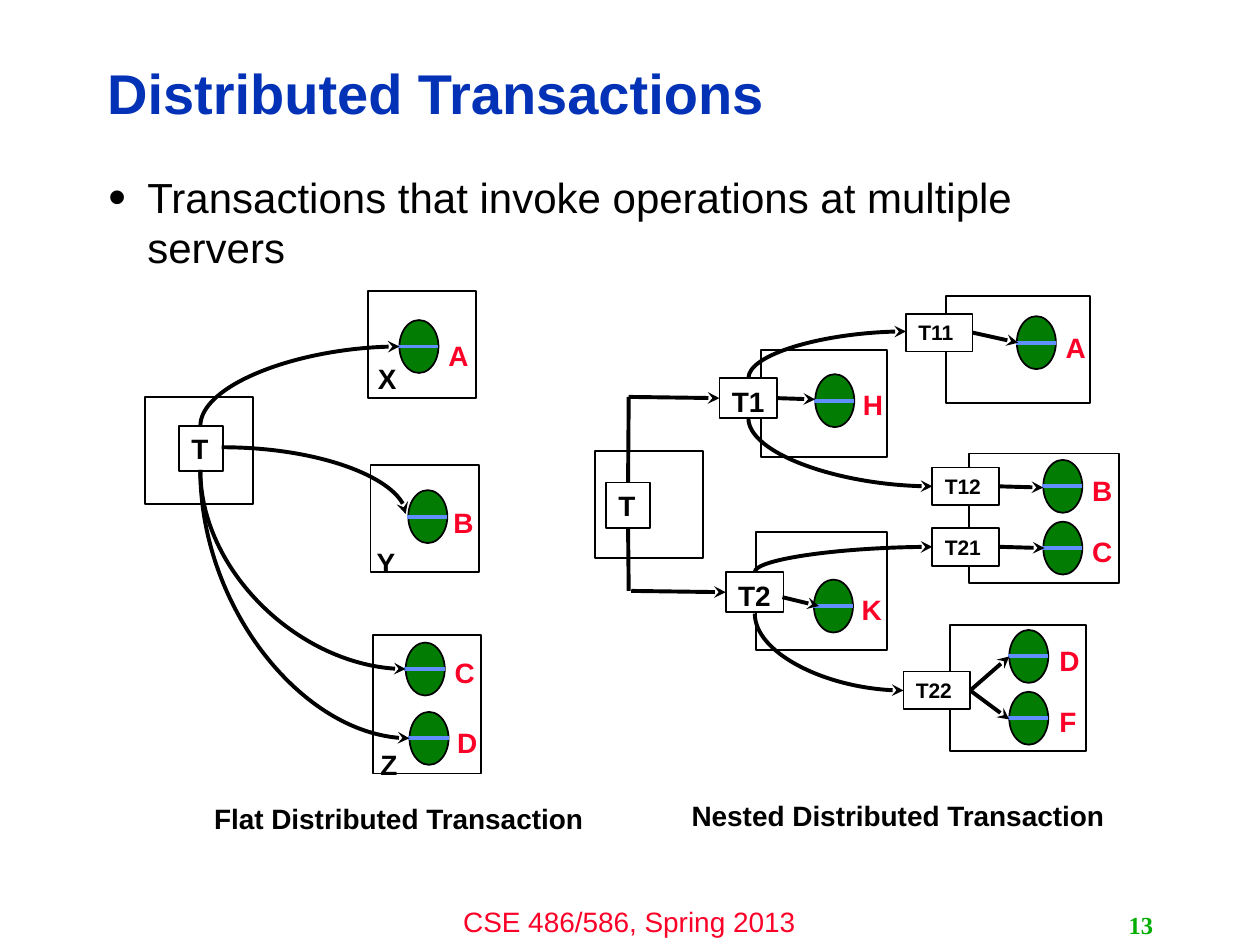
from lxml.etree import SubElement
from pptx import Presentation
from pptx.dml.color import RGBColor
from pptx.enum.shapes import MSO_CONNECTOR as Link, MSO_SHAPE as Preset
from pptx.enum.text import MSO_ANCHOR as Anchor, MSO_AUTO_SIZE as AutoSize, PP_ALIGN as Align
from pptx.oxml.ns import qn
from pptx.util import Inches, Pt

BLACK = RGBColor(0x00, 0x00, 0x00)
WHITE = RGBColor(0xFF, 0xFF, 0xFF)
BLUE = RGBColor(0x03, 0x32, 0xB7)
RED = RGBColor(0xFC, 0x01, 0x28)
DARK_GREEN = RGBColor(0x03, 0x7C, 0x03)
PAGE_GREEN = RGBColor(0x00, 0xAE, 0x00)
SKY = RGBColor(0x61, 0x8F, 0xFD)

COLUMNS, ROWS = 100, 75

FLAT_SERVERS = [(11.5, 31.5, 8.6, 8.5), (29.2, 23.1, 8.6, 8.5),
                (29.4, 36.9, 8.6, 8.5), (29.6, 50.4, 8.6, 11)]
NESTED_SERVERS = [(47.2, 35.8, 8.6, 8.5), (60.4, 27.8, 10, 8.5), (60, 42.2, 10.4, 9.4),
                  (75.1, 23.5, 11.4, 8.5), (76.9, 36, 11.9, 10.3), (75.4, 49.6, 10.8, 10)]

SERVER_NAMES = [("X", 29, 28.2), ("Y", 28.9, 42.8), ("Z", 29.2, 58.8)]

OBJECTS = [("A", 31.7, 25.4, 34.6, 26.4), ("B", 32.4, 38.9, 35, 39.6),
           ("C", 32.2, 51, 35.1, 51.5), ("D", 32.5, 56.5, 35.3, 57.1),
           ("A", 80.7, 25.1, 83.6, 25.7), ("B", 82.8, 36.5, 85.7, 37.1),
           ("C", 82.8, 41.4, 85.7, 41.9), ("D", 80.1, 50, 83.1, 50.6),
           ("F", 80.1, 54.9, 83.1, 55.4), ("H", 64.7, 29.7, 67.5, 30.3),
           ("K", 64.6, 46, 67.4, 46.5)]

FLAT_ROOT = ("T", 14.2, 33.8, 3.5, 3.6)
NESTED_NODES = [("T", 48.1, 38.3, 3.5, 3.6), ("T1", 57.1, 30, 4.6, 3.2),
                ("T2", 57.6, 45.4, 4.6, 3.2), ("T11", 71.9, 24.9, 5.3, 3),
                ("T12", 74, 37.1, 5.3, 3), ("T21", 74, 41.9, 5.3, 3),
                ("T22", 71.7, 53.3, 5.3, 3)]

RISING_OR_FALLING = [((15.9, 33.8), (31.7, 27.5)), ((15.9, 37.3), (32.2, 53.1)),
                     ((15.9, 37.3), (32.5, 58.6)), ((59.9, 48.7), (71.7, 54.8)),
                     ((59.4, 30), (71.9, 26.3)), ((59.4, 33.2), (74, 38.6)),
                     ((59.9, 45.4), (74, 43.4))]

TOP, LEFT, BOTTOM, RIGHT = range(4)


def write(frame, text, size=16, color=BLACK, font="Arial", bold=False, align=Align.LEFT,
          anchor=Anchor.TOP, wrap=True, line_spacing=None, bullet=None, right_inset=0.1):
    frame.auto_size = AutoSize.NONE
    frame.word_wrap = wrap
    frame.vertical_anchor = anchor
    frame.margin_left, frame.margin_right = Inches(0.1), Inches(right_inset)
    frame.margin_top = frame.margin_bottom = Inches(0.05)
    paragraph = frame.paragraphs[0]
    paragraph.alignment = align
    paragraph.space_before = Pt(0)
    if line_spacing:
        paragraph.line_spacing = line_spacing
    if bullet:
        properties = paragraph._p.get_or_add_pPr()
        properties.set("marL", str(Inches(0.31)))
        properties.set("indent", str(-Inches(0.31)))
        bullet_color = SubElement(properties, qn("a:buClr"))
        SubElement(bullet_color, qn("a:srgbClr"), val=str(BLACK))
        SubElement(properties, qn("a:buSzPct"), val="120000")
        SubElement(properties, qn("a:buFont"), typeface="Arial")
        SubElement(properties, qn("a:buChar"), char=bullet)
    run = paragraph.add_run()
    run.text = text
    run.font.name, run.font.size, run.font.bold = font, Pt(size), bold
    run.font.color.rgb = color


class Diagram:
    def __init__(self, deck):
        self.slide = deck.slides.add_slide(deck.slide_layouts[1])
        self.shapes = self.slide.shapes
        self.column = deck.slide_width / COLUMNS
        self.row = deck.slide_height / ROWS

    def grid(self, *lengths):
        return [round(length * (self.row if i % 2 else self.column))
                for i, length in enumerate(lengths)]

    def placeholder(self, index, area, text, **style):
        holder = self.slide.placeholders[index]
        holder.left, holder.top, holder.width, holder.height = self.grid(*area)
        write(holder.text_frame, text, **style)

    def label(self, text, *area, **style):
        write(self.shapes.add_textbox(*self.grid(*area)).text_frame, text, **style)

    def outline(self, preset, *area, fill=None):
        shape = self.shapes.add_shape(preset, *self.grid(*area))
        shape.shadow.inherit = False
        if fill is None:
            shape.fill.background()
        else:
            shape.fill.solid()
            shape.fill.fore_color.rgb = fill
        shape.line.color.rgb = BLACK
        shape.line.width = Pt(1)
        return shape

    def node(self, name, *area):
        box = self.outline(Preset.RECTANGLE, *area, fill=WHITE)
        write(box.text_frame, name, size=12 if len(name) > 2 else 16, bold=True, right_inset=0)
        return box

    def line(self, start, end, color=BLACK, arrow=False, kind=Link.STRAIGHT,
             begin=None, finish=None):
        link = self.shapes.add_connector(kind, *self.grid(*start, *end))
        link.line.color.rgb = color
        link.line.width = Pt(2.25)
        if arrow:
            SubElement(link.line._get_or_add_ln(), qn("a:tailEnd"), type="stealth")
        SubElement(link._element.spPr, qn("a:effectLst"))
        if begin:
            link.begin_connect(*begin)
        if finish:
            link.end_connect(*finish)
        return link

    def arc(self, start, end, upright=True):
        (x1, y1), (x2, y2) = start, end
        if upright:
            middle_x, middle_y = (x1 + x2) / 2, (y1 + y2) / 2
            half_width, half_height = (y1 - y2) / 2, (x2 - x1) / 2
            start = middle_x - half_width, middle_y - half_height
            end = middle_x + half_width, middle_y + half_height
        link = self.line(start, end, arrow=True, kind=Link.CURVE)
        properties = link._element.spPr
        properties.find(qn("a:prstGeom")).set("prst", "curvedConnector2")
        if upright:
            properties.find(qn("a:xfrm")).set("rot", str(270 * 60000))

    def stored_object(self, name, x, y, label_x, label_y):
        self.outline(Preset.OVAL, x, y, 3.1, 4.2, fill=DARK_GREEN)
        self.line((x - 0.1, y + 2.1), (x + 3.1, y + 2.1), color=SKY)
        self.label(name, label_x, label_y, 3.2, 3.1, color=RED, bold=True, right_inset=0)


def main():
    deck = Presentation()
    deck.slide_width, deck.slide_height = Inches(10), Inches(7.5)
    diagram = Diagram(deck)

    diagram.placeholder(0, (7.5, 3.6, 79.8, 8.1), "Distributed Transactions", size=32,
                        color=BLUE, bold=True, anchor=Anchor.MIDDLE, line_spacing=0.9)
    diagram.placeholder(1, (7.6, 13.1, 84, 53.9),
                        "Transactions that invoke operations at multiple servers",
                        size=24, bullet="•")
    diagram.label("CSE 486/586, Spring 2013", 33.3, 71.3, 33.3, 3.7, color=RED,
                  align=Align.CENTER)
    diagram.label("13", 71.7, 71.8, 20.8, 3.2, size=14, color=PAGE_GREEN, bold=True,
                  font="Times New Roman", align=Align.RIGHT, anchor=Anchor.MIDDLE)

    for server in FLAT_SERVERS + NESTED_SERVERS:
        diagram.outline(Preset.RECTANGLE, *server)
    diagram.node(*FLAT_ROOT)
    root, t1, t2, t11, t12, t21, t22 = [diagram.node(*node) for node in NESTED_NODES]
    for stored in OBJECTS:
        diagram.stored_object(*stored)
    for name, x, y in SERVER_NAMES:
        diagram.label(name, x, y, 3.1, 3.1, bold=True, right_inset=0)

    for start, end in RISING_OR_FALLING:
        diagram.arc(start, end)
    diagram.arc((17.6, 35.5), (32.2, 40.8), upright=False)

    diagram.line((49.9, 38.3), (49.9, 31.5), begin=(root, TOP))
    diagram.line((49.9, 46.9), (49.9, 41.9), finish=(root, BOTTOM))
    diagram.line((49.9, 31.5), (57.1, 31.5), arrow=True, finish=(t1, LEFT))
    diagram.line((50.1, 46.9), (57.6, 46.9), arrow=True, finish=(t2, LEFT))
    diagram.line((62.1, 47.4), (65, 48.1), arrow=True)
    for node, target in [(t1, (64.7, 31.7)), (t11, (80.8, 27.2)), (t12, (82.8, 38.7)),
                         (t21, (82.9, 43.5)), (t22, (80.1, 52.1)), (t22, (80.1, 57.1))]:
        diagram.line(target, target, arrow=True, begin=(node, RIGHT))

    diagram.label("Flat Distributed Transaction", 16, 63.1, 35.8, 3.4, bold=True)
    diagram.label("Nested Distributed Transaction", 53.9, 62.9, 35.8, 3.4, bold=True)
    deck.save("out.pptx")


if __name__ == "__main__":
    main()
